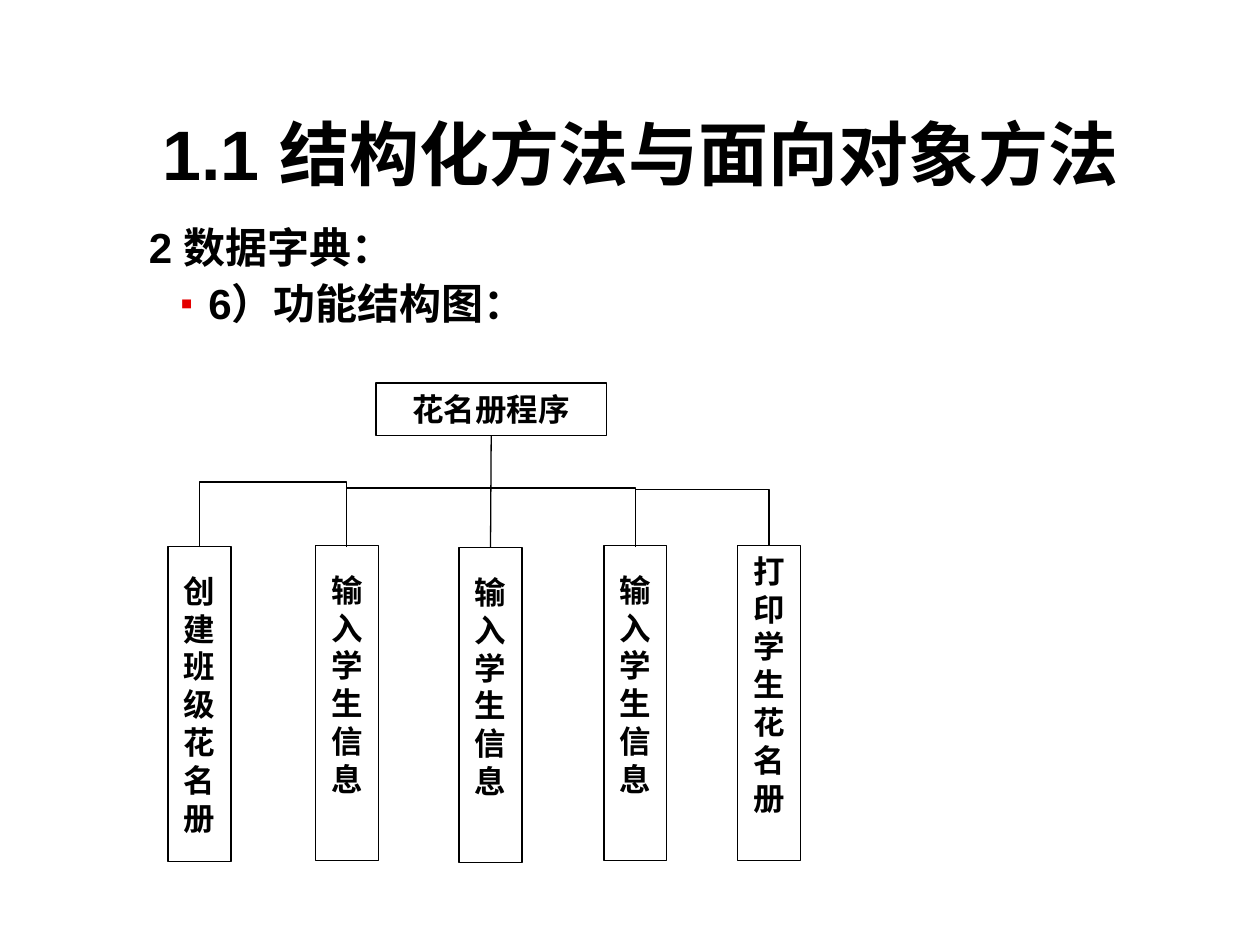
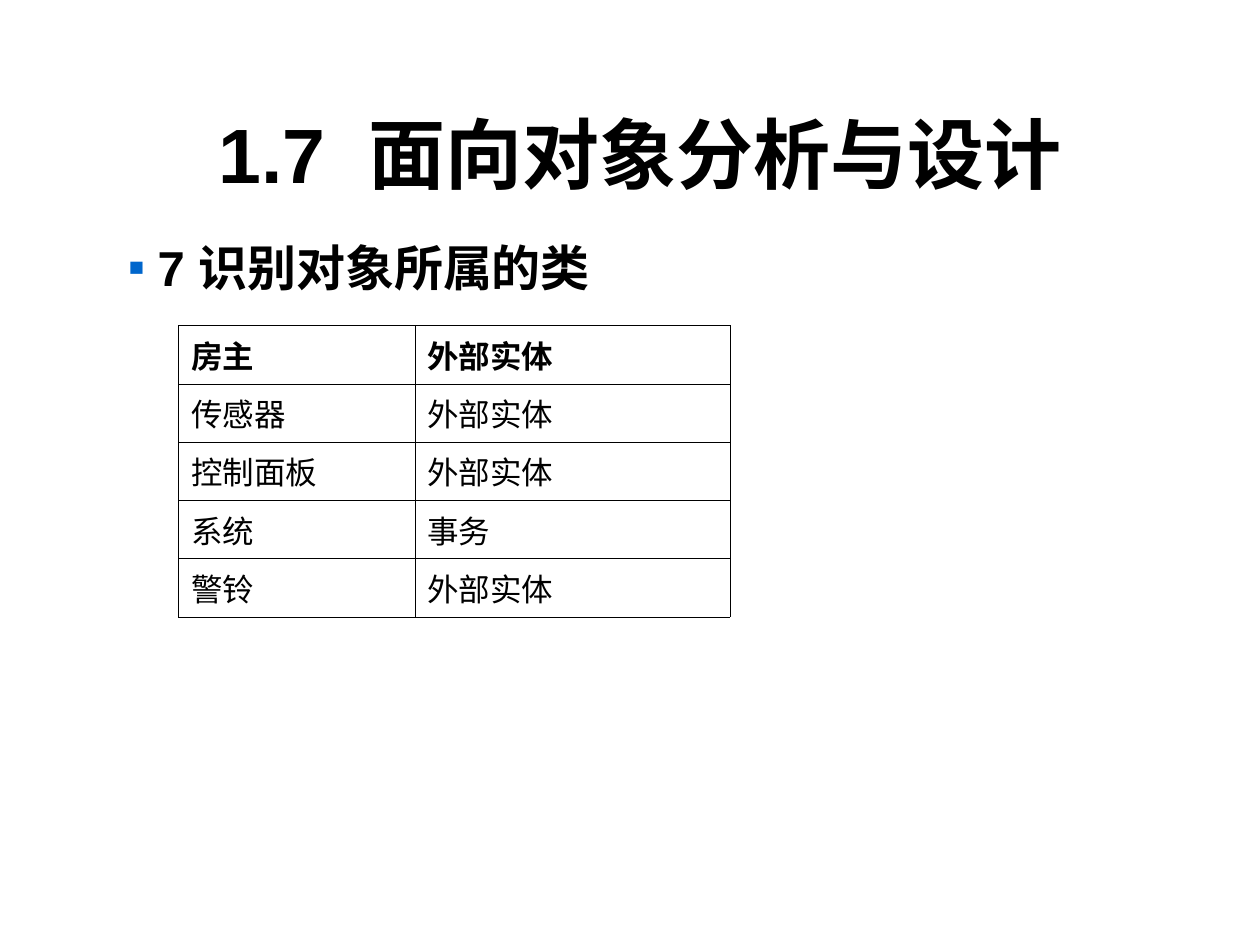
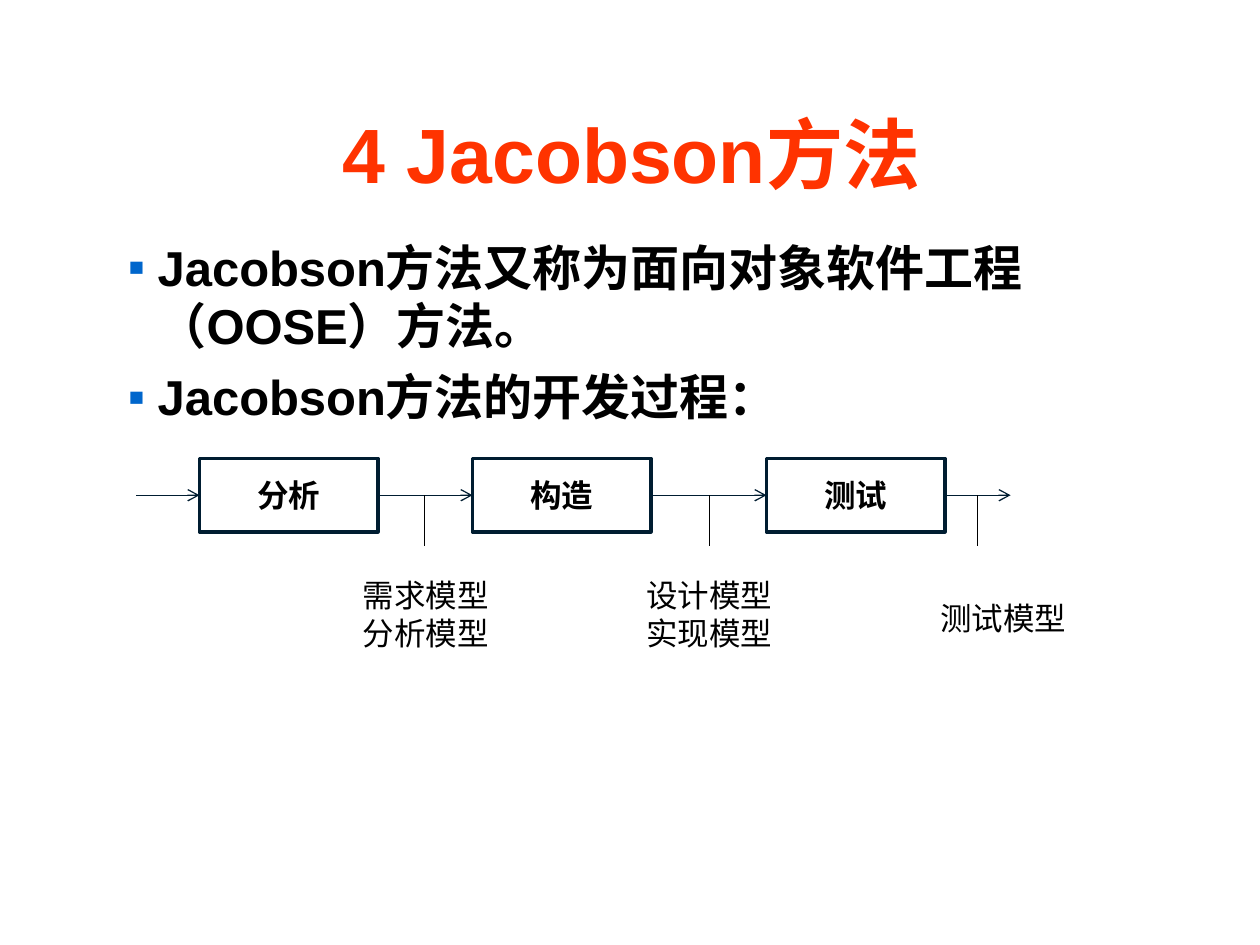
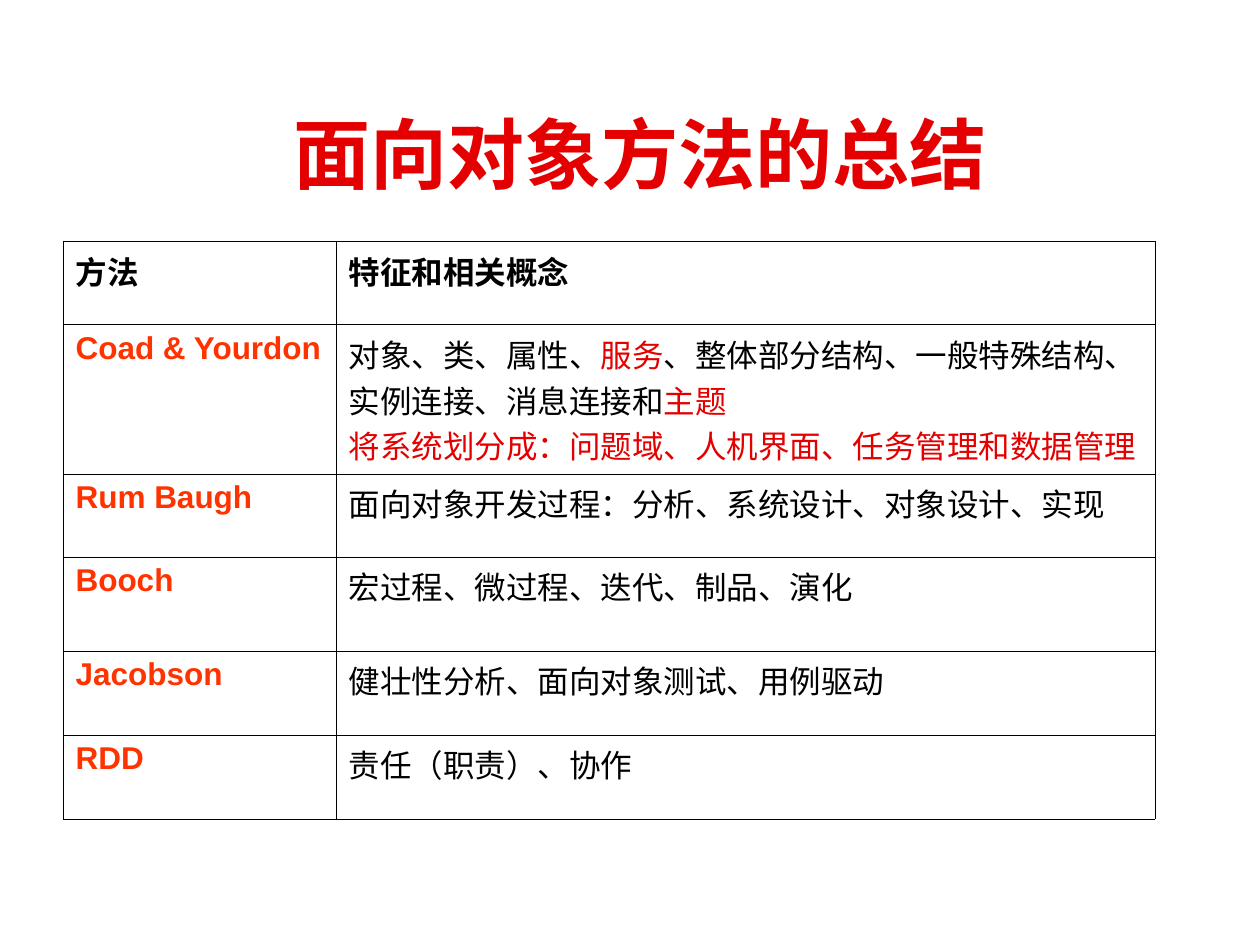
from lxml import etree
from pptx import Presentation
from pptx.dml.color import RGBColor
from pptx.enum.shapes import MSO_CONNECTOR, MSO_SHAPE
from pptx.enum.text import MSO_ANCHOR, MSO_AUTO_SIZE, PP_ALIGN
from pptx.oxml.ns import qn
from pptx.util import Pt

STRAIGHT, ELBOW = MSO_CONNECTOR.STRAIGHT, MSO_CONNECTOR.ELBOW
RECTANGLE = MSO_SHAPE.RECTANGLE
TOP, MIDDLE = MSO_ANCHOR.TOP, MSO_ANCHOR.MIDDLE
LEFT, CENTER = PP_ALIGN.LEFT, PP_ALIGN.CENTER
NO_AUTOFIT = MSO_AUTO_SIZE.NONE
SIDE_TOP, SIDE_LEFT, SIDE_BOTTOM, SIDE_RIGHT = range(4)

BLACK = RGBColor(0x00, 0x00, 0x00)
WHITE = RGBColor(0xFF, 0xFF, 0xFF)
NAVY = RGBColor(0x00, 0x1D, 0x31)
BLUE = RGBColor(0x00, 0x66, 0xCC)
RED = RGBColor(0xE4, 0x00, 0x00)
ORANGE = RGBColor(0xFF, 0x33, 0x00)

FONT = "Arial"
LINE_RATIO = 1.2
TITLE_BOX = (60, 42, 612, 90)
TABLE_BORDER = 0.11


def write_para(para, text, size=18, bold=False, color=BLACK, align=LEFT, line=None,
               before=0, bullet=None, bullet_size=100, margin=0, hanging=0):
    """Fill a paragraph with a string or a list of (string, colour) spans."""
    para.alignment = align
    para.space_before = Pt(before)
    if line:
        para.line_spacing = Pt(line)
    properties = para._p.get_or_add_pPr()
    properties.set("marL", str(Pt(margin)))
    properties.set("indent", str(-Pt(hanging)))
    if bullet is not None:
        tint = etree.SubElement(properties, qn("a:buClr"))
        etree.SubElement(tint, qn("a:srgbClr"), val=str(bullet))
        etree.SubElement(properties, qn("a:buSzPct"), val=str(bullet_size * 1000))
        etree.SubElement(properties, qn("a:buFont"), typeface=FONT)
        etree.SubElement(properties, qn("a:buChar"), char="▪")
    for words, tone in ([(text, color)] if isinstance(text, str) else text):
        span = para.add_run()
        span.text = words
        span.font.name, span.font.size, span.font.bold = FONT, Pt(size), bold
        span.font.color.rgb = tone


def write_frame(frame, texts, anchor=TOP, **style):
    """Write one paragraph per text, all in one style."""
    frame.word_wrap = True
    frame.auto_size = NO_AUTOFIT
    frame.vertical_anchor = anchor
    for number, text in enumerate(texts):
        para = frame.add_paragraph() if number else frame.paragraphs[0]
        write_para(para, text, **style)


def add_page(deck, title, size=44, color=BLACK):
    """Add a title-only page with its formatted title."""
    page = deck.slides.add_slide(deck.slide_layouts[5])
    holder = page.shapes.title
    holder.left, holder.top, holder.width, holder.height = map(Pt, TITLE_BOX)
    write_frame(holder.text_frame, [title], anchor=MIDDLE, size=size, bold=True,
                color=color, align=CENTER)
    return page


def add_text(shapes, box, texts, **style):
    """Add a wrapping text box."""
    label = shapes.add_textbox(*map(Pt, box))
    write_frame(label.text_frame, texts, **style)
    return label


def add_bullets(page, box, texts):
    """Add the large blue-bulleted statements below a title."""
    add_text(page.shapes, box, texts, size=28, bold=True, line=28 * LINE_RATIO,
             before=7, bullet=BLUE, margin=17, hanging=17)


def add_node(shapes, box, text, line_color=BLACK, line_width=0):
    """Add an unfilled rectangle with bold centred text."""
    node = shapes.add_shape(RECTANGLE, *map(Pt, box))
    node.shadow.inherit = False
    node.fill.background()
    node.line.color.rgb = line_color
    node.line.width = Pt(line_width)
    write_frame(node.text_frame, [text], anchor=MIDDLE, bold=True, align=CENTER,
                line=18 * LINE_RATIO)
    return node


def add_line(shapes, start, end, kind=STRAIGHT, color=BLACK, arrow=False):
    """Add a thin connector, with an open arrowhead on request."""
    link = shapes.add_connector(kind, *map(Pt, start + end))
    link.line.color.rgb = color
    link.line.width = Pt(0.75)
    if arrow:
        etree.SubElement(link.line._get_or_add_ln(), qn("a:tailEnd"), type="arrow")
    etree.SubElement(link._element.spPr, qn("a:effectLst"))
    return link


def add_bracket(shapes, left, right, bottom, rise):
    """Add an elbow connector that rises, crosses and comes down again."""
    drop, span = 1, right - left
    corner = ((left + right - drop) / 2, bottom - (drop + span) / 2)
    link = add_line(shapes, corner, (corner[0] + drop, corner[1] + span), kind=ELBOW)
    frame = link._element.spPr.find(qn("a:xfrm"))
    for name, value in (("rot", "5400000"), ("flipH", "1"), ("flipV", "1")):
        frame.set(name, value)
    guides = link._element.spPr.find(qn("a:prstGeom")).get_or_add_avLst()
    etree.SubElement(guides, qn("a:gd"), name="adj1",
                     fmla=f"val {round(rise / drop * 100000)}")


def add_function_tree(page, left, top):
    """Draw the program and its five functions below it."""
    shapes = page.shapes.add_group_shape().shapes
    root = add_node(shapes, (left + 118.8, top, 131.8, 30), "花名册程序")
    width, height, lift = 36, 180, 21.6
    functions = [
        (0, 93.6, "创建班级花名册", 0),
        (84.2, 93, "输入学生信息", lift),
        (166.3, 94.3, "输入学生信息", lift),
        (249.1, 93, "输入学生信息", lift),
        (325.4, 93, "打印学生花名册", lift),
    ]
    nodes = []
    for across, down, name, space in functions:
        node = add_node(shapes, (left + across, top + down, width, height), name)
        node.text_frame.margin_bottom = Pt(3.6 + space)
        nodes.append(node)
    middles = [left + across + width / 2 for across, *_ in functions]
    for start, end, rise in zip(middles, middles[1:], (37.5, 34, 34, 33)):
        add_bracket(shapes, start, end, top + 93.8, rise)
    trunk = add_line(shapes, (middles[2], top + 30), (middles[2], top + 94.3))
    trunk.begin_connect(root, SIDE_BOTTOM)
    trunk.end_connect(nodes[2], SIDE_TOP)


def add_process(page, left, top):
    """Draw the three development steps and the models they yield."""
    shapes = page.shapes.add_group_shape().shapes
    width, height = 102, 42
    middle = top + height / 2
    steps = [(36, "分析"), (192, "构造"), (360, "测试")]
    nodes = [add_node(shapes, (left + across, top, width, height), name, NAVY, 2)
             for across, name in steps]
    starts = [left] + [left + across + width for across, _ in steps]
    ends = [left + across for across, _ in steps] + [left + 499.5]
    for start, end, source, target in zip(starts, ends, [None] + nodes, nodes + [None]):
        arrow = add_line(shapes, (start, middle), (end, middle), color=NAVY, arrow=True)
        if source:
            arrow.begin_connect(source, SIDE_RIGHT)
        if target:
            arrow.end_connect(target, SIDE_LEFT)
    models = [
        (164.6, 114.2, 68, ["需求模型", "分析模型"]),
        (327.4, 276.2, 68, ["设计模型", "实现模型"]),
        (480.7, 444.2, 70, ["测试模型"]),
    ]
    for stem, across, down, names in models:
        add_line(shapes, (left + stem, middle), (left + stem, middle + 29))
        add_text(shapes, (left + across, top + down, width, height), names,
                 anchor=MIDDLE, align=CENTER, line=18 * LINE_RATIO)


def border_cell(cell):
    """Give a cell a hairline on all four sides."""
    properties = cell._tc.get_or_add_tcPr()
    for place, side in enumerate(("lnL", "lnR", "lnT", "lnB")):
        edge = etree.Element(qn(f"a:{side}"), w=str(Pt(TABLE_BORDER)))
        fill = etree.SubElement(edge, qn("a:solidFill"))
        etree.SubElement(fill, qn("a:srgbClr"), val=str(BLACK))
        properties.insert(place, edge)


def add_grid(page, left, top, widths, heights, rows, fill=None, key_color=None):
    """Add a ruled table with a bold head; key_color marks the first column."""
    frame = page.shapes.add_table(len(rows), len(widths), Pt(left), Pt(top),
                                  Pt(sum(widths)), Pt(sum(heights)))
    table = frame.table
    table.first_row = table.horz_banding = False
    for column, width in zip(table.columns, widths):
        column.width = Pt(width)
    for row, height in zip(table.rows, heights):
        row.height = Pt(height)
    for down, row in enumerate(rows):
        for across, content in enumerate(row):
            cell = table.cell(down, across)
            if fill is None:
                cell.fill.background()
            else:
                cell.fill.solid()
                cell.fill.fore_color.rgb = fill
            border_cell(cell)
            is_key = key_color is not None and down > 0 and across == 0
            texts = [content] if isinstance(content, str) else content
            for number, text in enumerate(texts):
                frame = cell.text_frame
                para = frame.add_paragraph() if number else frame.paragraphs[0]
                write_para(para, text, bold=down == 0 or is_key,
                           color=key_color if is_key else BLACK)


def build_structure_page(deck):
    """Build the page with the function structure diagram."""
    page = add_page(deck, "1.1 结构化方法与面向对象方法", size=40)
    style = {"size": 24, "bold": True, "line": 26, "before": 6}
    label = add_text(page.shapes, (78, 126, 618, 60), ["2 数据字典："], **style)
    write_para(label.text_frame.add_paragraph(), "6）功能结构图：", bullet=RED,
               bullet_size=85, margin=34, hanging=16, **style)
    add_function_tree(page, 96, 218.8)


def build_classes_page(deck):
    """Build the page that sorts objects into classes."""
    page = add_page(deck, "1.7  面向对象分析与设计")
    add_bullets(page, (66, 132, 582, 42), ["7 识别对象所属的类"])
    rows = [
        ("房主", "外部实体"),
        ("传感器", "外部实体"),
        ("控制面板", "外部实体"),
        ("系统", "事务"),
        ("警铃", "外部实体"),
    ]
    add_grid(page, 102, 186, (135, 180), [29.2] * len(rows), rows)


def build_process_page(deck):
    """Build the page with the development process."""
    page = add_page(deck, "4 Jacobson方法 ", color=ORANGE)
    add_bullets(page, (66, 132, 582, 378), [
        "Jacobson方法又称为面向对象软件工程（OOSE）方法。",
        "Jacobson方法的开发过程：",
    ])
    add_process(page, 78, 262)


def build_summary_page(deck):
    """Build the page that compares the methods."""
    page = add_page(deck, "面向对象方法的总结", color=RED)
    concepts = [
        [("对象、类、属性、", BLACK), ("服务", RED),
         ("、整体部分结构、一般特殊结构、实例连接、消息连接和", BLACK), ("主题", RED)],
        [("将系统划分成：问题域、人机界面、任务管理和数据管理", RED)],
    ]
    rows = [
        ("方法", "特征和相关概念"),
        ("Coad & Yourdon", concepts),
        ("Rum Baugh", "面向对象开发过程：分析、系统设计、对象设计、实现"),
        ("Booch", "宏过程、微过程、迭代、制品、演化"),
        ("Jacobson", "健壮性分析、面向对象测试、用例驱动"),
        ("RDD", "责任（职责）、协作"),
    ]
    add_grid(page, 36, 138, (156, 468), (47.5, 72, 47.5, 53.5, 48, 48), rows,
             fill=WHITE, key_color=ORANGE)


def main():
    """Build and save the deck."""
    deck = Presentation()
    deck.slide_width, deck.slide_height = Pt(720), Pt(540)
    build_structure_page(deck)
    build_classes_page(deck)
    build_process_page(deck)
    build_summary_page(deck)
    deck.save("out.pptx")


if __name__ == "__main__":
    main()
